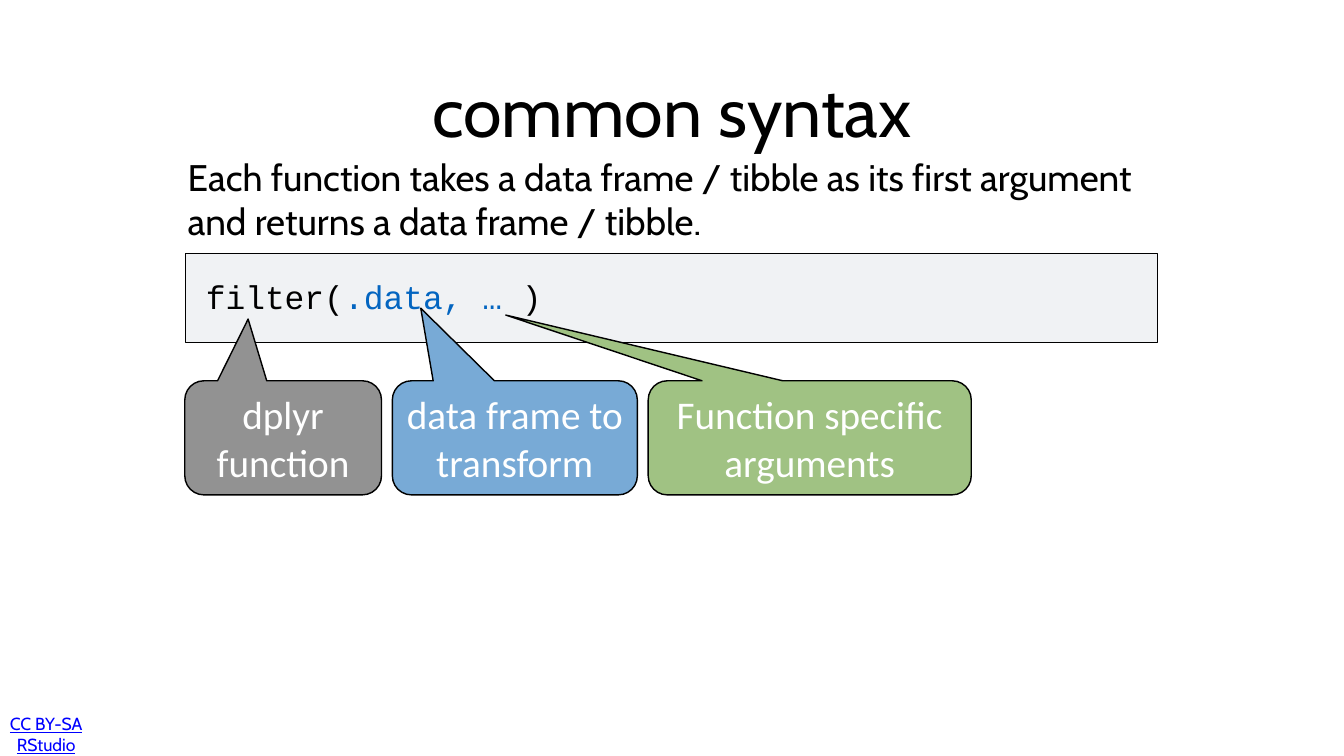
from dataclasses import dataclass

from lxml import etree
from pptx import Presentation
from pptx.dml.color import RGBColor
from pptx.enum import shapes, text
from pptx.oxml import ns
from pptx.util import Pt


@dataclass(frozen=True)
class Theme:
    """Colours, fonts and type sizes of the slide."""
    ink: str = "000000"
    paper: str = "FFFFFF"
    panel: str = "F0F2F4"
    accent: str = "0365C0"
    link: str = "0000FF"
    grey: str = "929292"
    blue: str = "78AAD6"
    green: str = "A0C283"
    heading_font: str = "Cabin"
    code_font: str = "Courier New"
    label_font: str = "Calibri"
    title_size: float = 100
    body_size: float = 52.8
    code_size: float = 47
    label_size: float = 56
    license_size: float = 25


THEME = Theme()


def place(shape, box):
    """Move and size a shape to a box given in points."""
    shape.left, shape.top, shape.width, shape.height = map(Pt, box)


def write(shape, runs, *, size, font, color=THEME.ink, align=text.PP_ALIGN.LEFT,
          anchor=text.MSO_ANCHOR.MIDDLE, inset=4, underline=None):
    """Fill a shape with one paragraph of (words, colour) runs or a plain string."""
    frame = shape.text_frame
    frame.auto_size = text.MSO_AUTO_SIZE.NONE
    frame.word_wrap = True
    frame.vertical_anchor = anchor
    frame.margin_left = frame.margin_right = Pt(inset)
    frame.margin_top = frame.margin_bottom = Pt(inset)
    paragraph = frame.paragraphs[0]
    paragraph.alignment = align
    paragraph.space_before = Pt(0)
    for words, run_color in [(runs, color)] if isinstance(runs, str) else runs:
        run = paragraph.add_run()
        run.text = words
        run.font.size = Pt(size)
        run.font.name = font
        run.font.underline = underline
        run.font.color.rgb = RGBColor.from_string(run_color)
    return paragraph


def add_panel(slide, kind, box, fill, line_width):
    """Add a filled preset shape with a dark outline."""
    shape = slide.shapes.add_shape(kind, *map(Pt, box))
    shape.shadow.inherit = False
    shape.fill.solid()
    shape.fill.fore_color.rgb = RGBColor.from_string(fill)
    shape.line.color.rgb = RGBColor.from_string(THEME.ink)
    shape.line.width = Pt(line_width)
    return shape


def fill_title(slide, box, words):
    """Set the title placeholder."""
    title = slide.shapes.title
    place(title, box)
    write(title, words, size=THEME.title_size, font=THEME.heading_font,
          align=text.PP_ALIGN.CENTER)


def fill_body(slide, box, words):
    """Set the body placeholder as plain text without a bullet."""
    body = slide.placeholders[1]
    place(body, box)
    paragraph = write(body, words, size=THEME.body_size, font=THEME.heading_font)
    properties = paragraph._p.get_or_add_pPr()
    properties.set("marL", "0")
    properties.set("indent", "0")
    etree.SubElement(properties, ns.qn("a:buNone"))


def add_code(slide, box, runs):
    """Add the code panel with its coloured line of code."""
    left, top, width, height = box
    add_panel(slide, shapes.MSO_SHAPE.RECTANGLE, box, THEME.panel, 1)
    code = slide.shapes.add_textbox(Pt(left + 25), Pt(top + 29), Pt(width - 148), Pt(height - 15))
    write(code, runs, size=THEME.code_size, font=THEME.code_font,
          anchor=text.MSO_ANCHOR.TOP)


def add_callouts(slide, box, callouts, gap):
    """Add a row of callouts, each with a width and a pointer tip."""
    left, top, _, height = box
    for words, width, fill, tip in callouts:
        callout = add_panel(slide, shapes.MSO_SHAPE.ROUNDED_RECTANGULAR_CALLOUT,
                            (left, top, width, height), fill, 2)
        for index, value in enumerate((*tip, 0.167)):
            callout.adjustments[index] = value
        write(callout, words, size=THEME.label_size, font=THEME.label_font,
              color=THEME.paper, align=text.PP_ALIGN.CENTER, inset=6)
        left += width + gap


def add_license(slide, box, words):
    """Add the underlined licence line."""
    label = slide.shapes.add_textbox(*map(Pt, box))
    write(label, words, size=THEME.license_size, font=THEME.heading_font,
          color=THEME.link, align=text.PP_ALIGN.CENTER, inset=0, underline=True)


def main():
    """Build and save the slide."""
    presentation = Presentation()
    presentation.slide_width, presentation.slide_height = Pt(1920), Pt(1080)
    slide = presentation.slides.add_slide(presentation.slide_layouts[1])
    add_license(slide, (9, 1027, 114, 43), "CC BY-SA RStudio")
    add_code(slide, (265, 362, 1389, 127.5),
             [("filter(", THEME.ink), (".data, … ", THEME.accent), (")", THEME.ink)])
    fill_title(slide, (315, 62, 1289, 189), "common syntax")
    fill_body(slide, (264, 214, 1390, 140),
              "Each function takes a data frame / tibble as its first argument "
              "and returns a data frame / tibble.")
    add_callouts(slide, (264, 544, 1123, 163), [
        ("dplyr function", 281, THEME.grey, (-0.178, -1.041)),
        ("data frame to transform", 350, THEME.blue, (-0.384, -1.136)),
        ("Function specific arguments", 461.5, THEME.green, (-0.941, -1.076)),
    ], gap=15.5)
    presentation.save("out.pptx")


if __name__ == "__main__":
    main()
